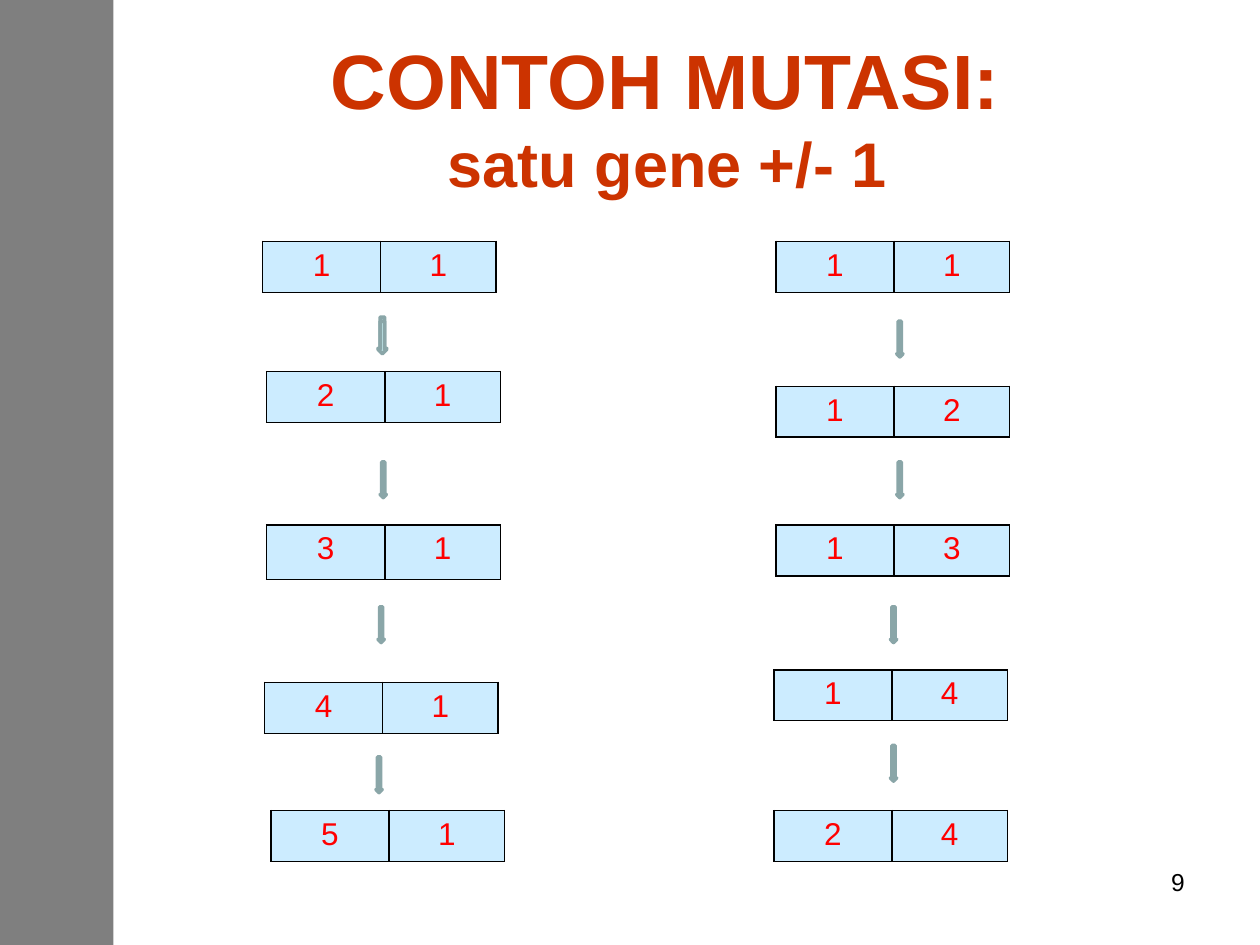
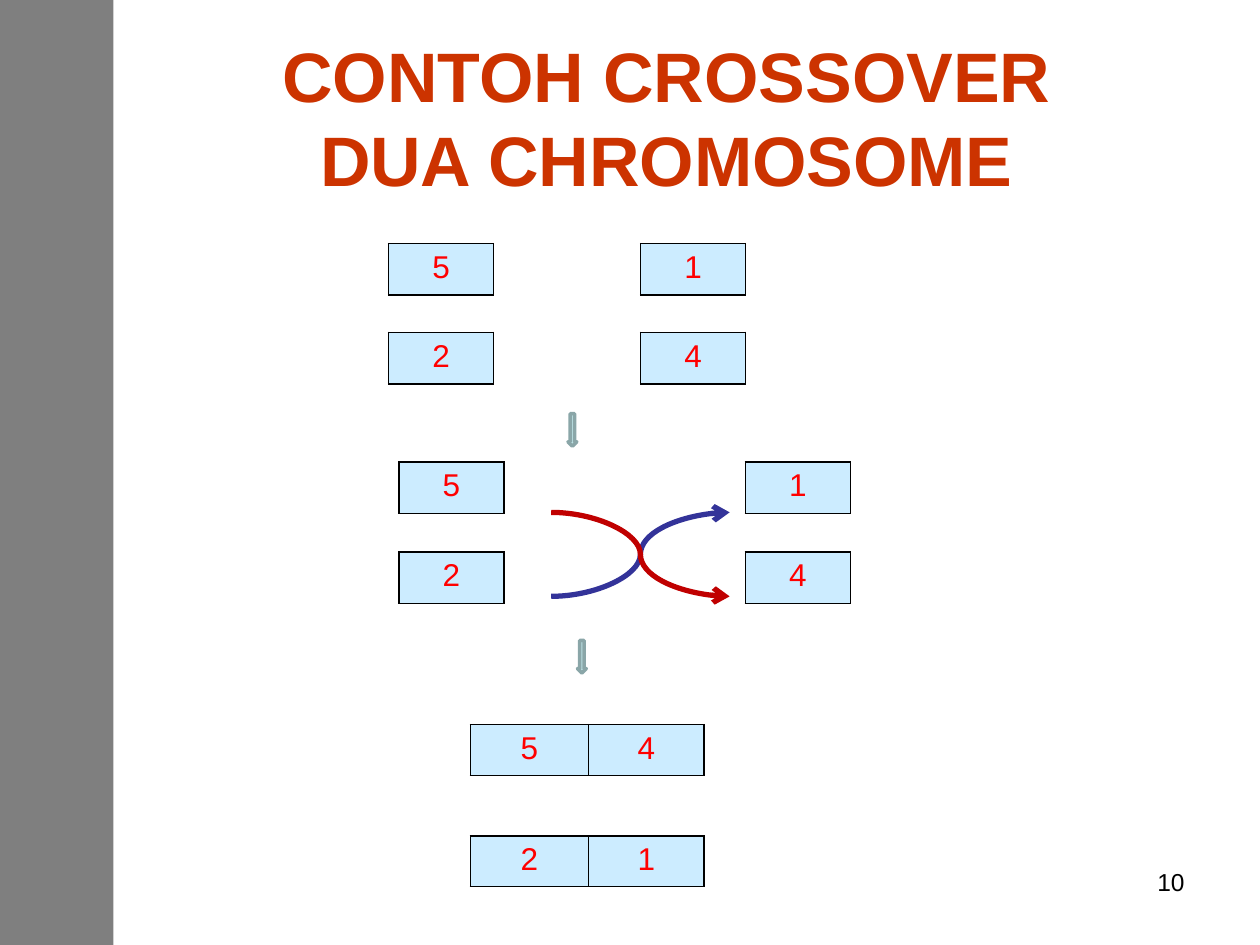
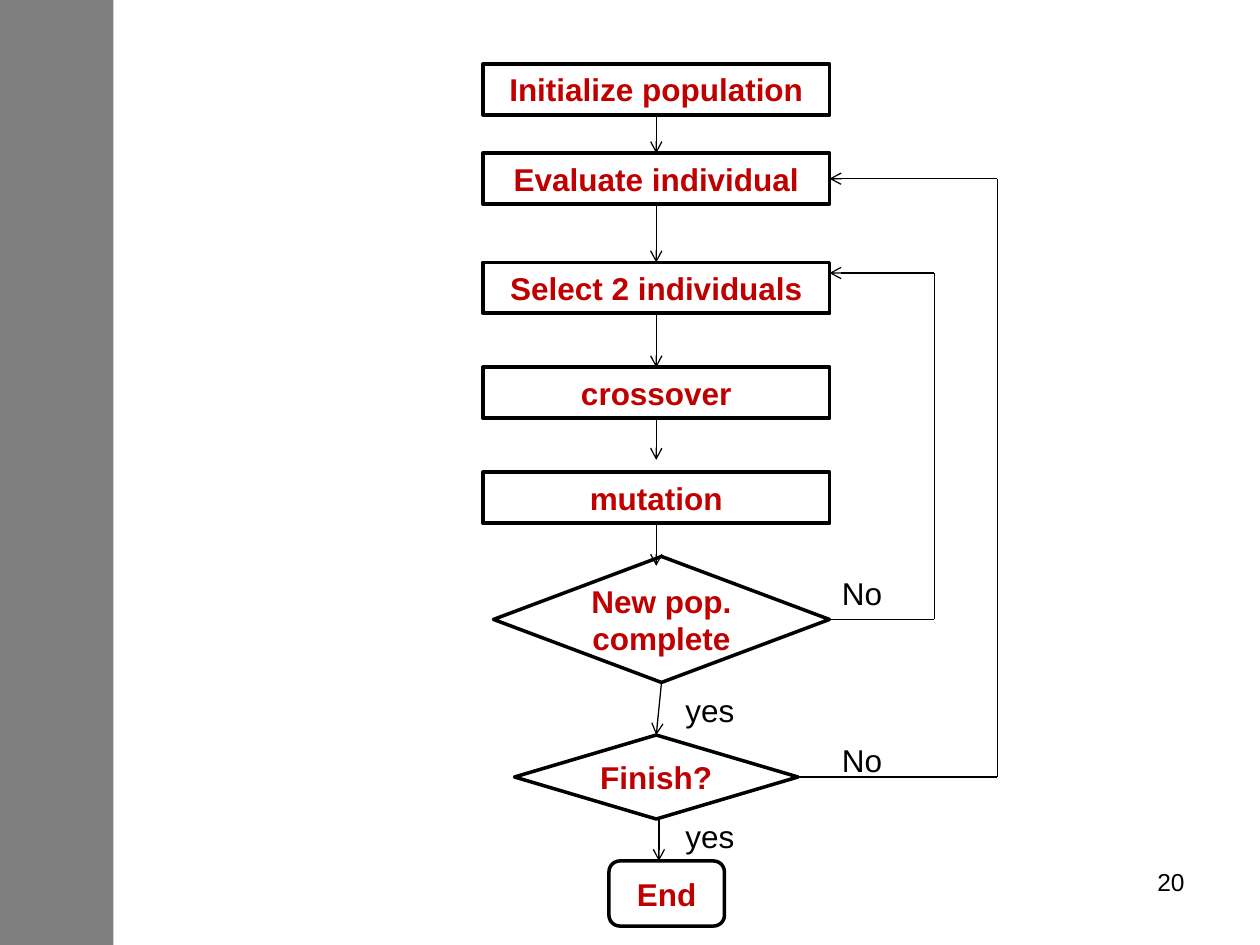
from lxml.etree import SubElement
from pptx import Presentation
from pptx.dml.color import RGBColor
from pptx.enum.shapes import MSO_CONNECTOR, MSO_SHAPE
from pptx.enum.text import MSO_ANCHOR, MSO_AUTO_SIZE, PP_ALIGN
from pptx.oxml.ns import qn
from pptx.util import Inches, Pt

WIDTH, HEIGHT = Inches(10), Inches(7.5)
COLUMNS, ROWS = 120, 90
FONT = "Arial"
BLACK, WHITE = "000000", "FFFFFF"
TITLE_RED, GENE_RED, STEP_RED = "CC3300", "FF0000", "C00000"
CELL_BLUE, ARROW_FILL, ARROW_LINE = "CCECFF", "BBE0E3", "8AA6A8"
CURVE_BLUE, CURVE_RED = "333399", "C00000"
TITLE_ONLY, BLANK = 5, 6
TOP, BOTTOM, RIGHT = 0, 2, 3
GENE_WIDTHS, GENE_HEIGHT = (11.25, 11), 4.84
SINGLE_WIDTH = 10


def color(value):
    """Turn a hex string into a colour."""
    return RGBColor.from_string(value)


def across(columns):
    """Convert grid columns to a length."""
    return round(columns * WIDTH / COLUMNS)


def down(rows):
    """Convert grid rows to a length."""
    return round(rows * HEIGHT / ROWS)


def place(box):
    """Convert a grid box to left, top, width and height."""
    left, top, width, height = box
    return across(left), down(top), across(width), down(height)


def write(frame, text, size=18, ink=BLACK, bold=False, align=PP_ALIGN.LEFT, line_sizes=()):
    """Write text in one paragraph, with a line break at each newline."""
    paragraph = frame.paragraphs[0]
    paragraph.alignment = align
    for index, line in enumerate(text.split("\n")):
        if index:
            paragraph.add_line_break()
        run = paragraph.add_run()
        run.text = line
        run.font.name = FONT
        run.font.size = Pt(line_sizes[index] if line_sizes else size)
        run.font.bold = bold
        run.font.color.rgb = color(ink)


def add_label(slide, box, text, **style):
    """Add a plain text box."""
    frame = slide.shapes.add_textbox(*place(box)).text_frame
    frame.word_wrap = True
    write(frame, text, **style)


def add_block(slide, kind, box, fill=None, line=None, weight=2):
    """Add a preset shape without a shadow."""
    shape = slide.shapes.add_shape(kind, *place(box))
    shape.shadow.inherit = False
    if fill:
        shape.fill.solid()
        shape.fill.fore_color.rgb = color(fill)
    else:
        shape.fill.background()
    if line:
        shape.line.color.rgb = color(line)
        shape.line.width = Pt(weight)
    else:
        shape.line.fill.background()
    return shape


def add_down_arrow(slide, left, top, width=0.6, height=3.4):
    """Add a small block arrow that points down."""
    add_block(slide, MSO_SHAPE.DOWN_ARROW, (left, top, width, height), ARROW_FILL, ARROW_LINE)


def add_genes(slide, left, top, genes, widths=GENE_WIDTHS, height=GENE_HEIGHT):
    """Add a one-row table with a gene in each cell."""
    box = (left, top, sum(widths), height)
    frame = slide.shapes.add_table(1, len(genes), *place(box))
    table = frame.table
    table.rows[0].height = down(height)
    for index, gene in enumerate(genes):
        table.columns[index].width = across(widths[index])
        cell = table.cell(0, index)
        write(cell.text_frame, gene, ink=GENE_RED, align=PP_ALIGN.CENTER)
        add_borders(cell)
        cell.fill.solid()
        cell.fill.fore_color.rgb = color(CELL_BLUE)


def add_borders(cell):
    """Draw a thin black border on each side of a cell."""
    properties = cell._tc.get_or_add_tcPr()
    for side in ("a:lnL", "a:lnR", "a:lnT", "a:lnB"):
        border = SubElement(properties, qn(side), w=str(Pt(1)))
        fill = SubElement(border, qn("a:solidFill"))
        SubElement(fill, qn("a:srgbClr"), val=BLACK)


def add_link(slide, start, end, kind=MSO_CONNECTOR.STRAIGHT, ink=BLACK, weight=0.75,
             arrow=True, begin_at=None, end_at=None):
    """Draw a line between grid points, joined to (shape, side) where given."""
    connector = slide.shapes.add_connector(
        kind, across(start[0]), down(start[1]), across(end[0]), down(end[1]))
    if begin_at:
        connector.begin_connect(*begin_at)
    if end_at:
        connector.end_connect(*end_at)
    connector.line.color.rgb = color(ink)
    connector.line.width = Pt(weight)
    properties = connector.element.spPr
    if arrow:
        SubElement(properties.find(qn("a:ln")), qn("a:tailEnd"), type="arrow")
    SubElement(properties, qn("a:effectLst"))
    return connector


def add_master_band(presentation, slide):
    """Put the translucent side band on the slide master."""
    band = add_block(slide, MSO_SHAPE.RECTANGLE, (0, 0, 10.8, ROWS), BLACK)
    shade = band.element.spPr.find(qn("a:solidFill"))[0]
    SubElement(shade, qn("a:alpha"), val="50000")
    presentation.slide_master.shapes.element.insert(2, band.element)


def start_slide(presentation, number, title=None, line_sizes=()):
    """Add a slide with its number and, if given, its title."""
    layout = presentation.slide_layouts[TITLE_ONLY if title else BLANK]
    slide = presentation.slides.add_slide(layout)
    if title:
        shape = slide.shapes.title
        shape.left, shape.top, shape.width, shape.height = place((10.4, 3.6, 108, 15))
        shape.text_frame.auto_size = MSO_AUTO_SIZE.NONE
        shape.text_frame.vertical_anchor = MSO_ANCHOR.MIDDLE
        write(shape.text_frame, title, line_sizes=line_sizes, ink=TITLE_RED,
              bold=True, align=PP_ALIGN.CENTER)
    add_label(slide, (86, 82, 28, 6.2), number, size=14, align=PP_ALIGN.RIGHT)
    return slide


def add_chain(slide, left, top, steps, arrows):
    """Place a column of gene pairs and arrows from its top left corner."""
    for shift, drop, genes, height in steps:
        add_genes(slide, left + shift, top + drop, genes, height=height)
    for shift, drop, *size in arrows:
        add_down_arrow(slide, left + shift, top + drop, *size)


def add_parents(slide, box, rows):
    """Place single genes at the four corners of a box."""
    left, top, width, height = box
    for row, genes in enumerate(rows):
        for column, gene in enumerate(genes):
            add_genes(slide, left + column * (width - SINGLE_WIDTH),
                      top + row * (height - GENE_HEIGHT), gene, (SINGLE_WIDTH,), 4.9)


def add_crossing(slide, box):
    """Cross two curved arrows inside a box."""
    left, top, width, height = box
    bottom, right = top + height, left + width
    for start, end, ink in ((bottom, top, CURVE_BLUE), (top, bottom, CURVE_RED)):
        add_link(slide, (left, start), (right, end), MSO_CONNECTOR.CURVE, ink, 3)


def add_step(slide, kind, box, text, fill=WHITE, weight=2):
    """Add a flowchart step with its caption."""
    shape = add_block(slide, kind, box, fill, BLACK, weight)
    shape.text_frame.word_wrap = True
    shape.text_frame.vertical_anchor = MSO_ANCHOR.MIDDLE
    write(shape.text_frame, text, ink=STEP_RED, bold=True, align=PP_ALIGN.CENTER)
    return shape


def add_loop(slide, source, start, lane, end, end_at=None):
    """Lead a line from a decision out to a lane and back to a step."""
    corners = (lane, start[1]), (lane, end[1])
    add_link(slide, start, corners[0], arrow=False, begin_at=(source, RIGHT))
    add_link(slide, *corners, arrow=False)
    add_link(slide, corners[1], end, end_at=end_at)


def add_flowchart(slide, box):
    """Draw the genetic algorithm from the top left of a box."""
    left, top, width, height = box
    middle, right, bottom = left + width / 2, left + width, top + height
    names = ("Initialize population", "Evaluate individual", "Select 2 individuals",
             "crossover", "mutation")
    drops = (0, 8.5, 18.9, 28.9, 38.9)
    steps = [add_step(slide, MSO_SHAPE.RECTANGLE, (left, top + drop, width, GENE_HEIGHT),
                      name, None, 2.25) for name, drop in zip(names, drops)]
    complete = add_step(slide, MSO_SHAPE.FLOWCHART_DECISION,
                        (left + 1, top + 46.9, 32, 12), "New pop. complete")
    finish = add_step(slide, MSO_SHAPE.FLOWCHART_DECISION,
                      (left + 3, top + 63.9, 27, 8), "Finish?")
    add_step(slide, MSO_SHAPE.ROUNDED_RECTANGLE,
             (left + 12, bottom - 6.2, 11, 6.2), "End")

    joined = [*zip(steps[:3], steps[1:4]), (complete, finish)]
    for upper, lower in joined:
        add_link(slide, (middle, top), (middle, bottom),
                 begin_at=(upper, BOTTOM), end_at=(lower, TOP))
    for upper, drop in ((steps[3], 37.7), (steps[4], 47.8)):
        add_link(slide, (middle, top), (middle, top + drop), begin_at=(upper, BOTTOM))
    add_link(slide, (middle + 0.25, top + 71.9), (middle + 0.25, bottom - 6.2))

    add_loop(slide, complete, (right, top + 52.9), right + 10, (right, top + 19.9))
    add_loop(slide, finish, (right - 3, top + 67.9), right + 16, (right, top + 10.92),
             (steps[1], RIGHT))
    for drop in (48, 63.9):
        add_label(slide, (right, top + drop, 7, GENE_HEIGHT), "No")
    for drop in (59.1, 71.1):
        add_label(slide, (left + 18.1, top + drop, 10, GENE_HEIGHT), "yes")


def build_mutation(presentation):
    """Build the slide that changes one gene at a time."""
    slide = start_slide(presentation, "9", "CONTOH MUTASI: \nsatu gene +/- 1 ", (44, 36))
    add_master_band(presentation, slide)
    add_chain(slide, 25, 23,
              ((0, 0, "11", 4.84), (0.4, 12.4, "21", 4.84), (0.4, 27, "31", 5.2),
               (0.2, 42, "41", 4.84), (0.8, 54.2, "51", 4.84)),
              ((11, 7.2, 0.84, 3.4), (11.2, 21), (10.8, 49.1), (11, 34.8),
               (11, 7.6, 0.84, 3.1)))
    add_chain(slide, 73.7, 23,
              ((0.2, 0, "11", 4.84), (0.2, 13.8, "12", 4.84), (0.2, 27, "13", 4.84),
               (0, 40.8, "14", 4.84), (0, 54.2, "24", 4.84)),
              ((11.7, 7.6), (11.7, 21), (11.1, 34.8), (11.1, 48)))


def build_crossover(presentation):
    """Build the slide that swaps genes between two chromosomes."""
    slide = start_slide(presentation, "10", "CONTOH CROSSOVER \nDUA CHROMOSOME ", (40, 40))
    parents = ("51", "24")
    add_parents(slide, (37, 23.2, 34, 13.3), parents)
    add_down_arrow(slide, 54.1, 39.4, 0.84, 3.1)
    add_parents(slide, (38, 44, 43, 13.4), parents)
    add_crossing(slide, (52.5, 48.8, 17, 8))
    add_down_arrow(slide, 55, 61, 0.84, 3.1)
    for top, genes in ((69, "54"), (79.6, "21")):
        add_genes(slide, 44.8, top, genes)


def build_algorithm(presentation):
    """Build the flowchart slide."""
    slide = start_slide(presentation, "20")
    add_flowchart(slide, (46, 6.1, 33, 82.1))


def main():
    """Build and save the presentation."""
    presentation = Presentation()
    presentation.slide_width, presentation.slide_height = WIDTH, HEIGHT
    build_mutation(presentation)
    build_crossover(presentation)
    build_algorithm(presentation)
    presentation.save("out.pptx")


if __name__ == "__main__":
    main()
